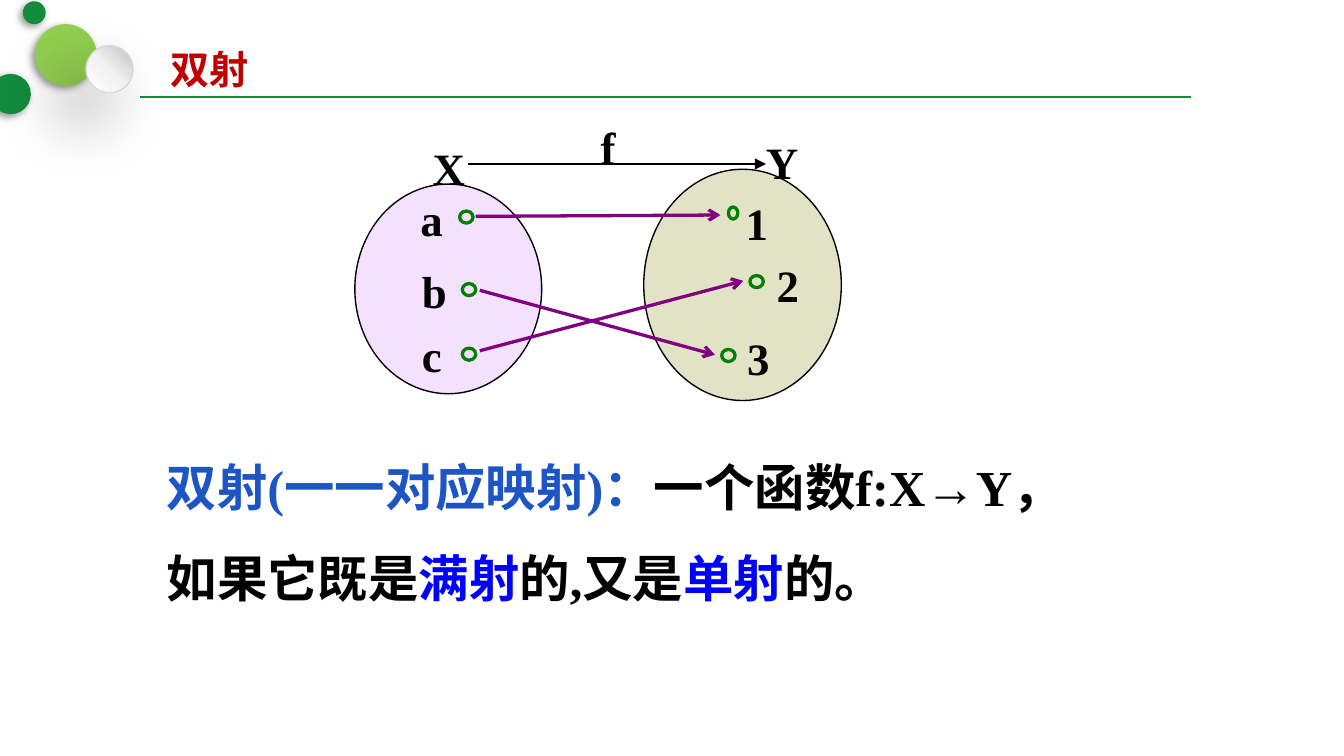
"""Build a slide that defines a bijection with a mapping diagram."""
from lxml.etree import fromstring
from pptx import Presentation
from pptx.dml.color import RGBColor
from pptx.enum.shapes import MSO_CONNECTOR, MSO_SHAPE
from pptx.enum.text import MSO_AUTO_SIZE
from pptx.oxml.ns import qn
from pptx.util import Inches, Pt

NS = "http://schemas.openxmlformats.org/drawingml/2006/main"
HAN, ROMAN = "Noto Sans CJK SC", "Times New Roman"
WIDTH = 10
HEIGHT = WIDTH * 9 / 16
BLACK = RGBColor(0, 0, 0)
RED = RGBColor(0xC0, 0, 0)
BLUE = RGBColor(0, 0, 0xFF)
AZURE = RGBColor(0x1D, 0x55, 0xC5)
GREEN = RGBColor(0x11, 0x8C, 0x3B)
LIME = RGBColor(0x92, 0xD0, 0x50)
GRAY = RGBColor(0xD9, 0xD9, 0xD9)
RING = RGBColor(0, 0x80, 0)
PURPLE = RGBColor(0x80, 0, 0x80)
LILAC = RGBColor(0xF4, 0xE1, 0xFF)
OLIVE = RGBColor(0xE1, 0xE2, 0xC6)

BALLS = [
    (0.26, 0.18, 0.46, LIME, None, (4, 2)),
    (-0.07, 0.55, 0.3, GREEN, None, (4, 2)),
    (0.64, 0.34, 0.35, None, GRAY, (35, 20)),
    (0.17, 0.01, 0.17, GREEN, None, (4, 2)),
]
SHEEN = [(0, "FFFFFF"), (50, "F2F2F2"), (100, "BFBFBF")]
SETS = [(4.79, 1.26, 1.47, 1.72, OLIVE), (2.64, 1.37, 1.39, 1.56, LILAC)]
DOTS = [
    (3.42, 1.57, 0.1), (3.44, 2.11, 0.1), (3.44, 2.59, 0.1),
    (5.42, 1.54, 0.07), (5.58, 2.05, 0.1), (5.37, 2.6, 0.1),
]
MAPS = [
    (3.54, 1.61, 5.36, 1.6),
    (3.57, 2.16, 5.32, 2.64),
    (3.57, 2.61, 5.53, 2.09),
]
LABELS = [
    ("a", 3.03, 1.38), ("b", 3.04, 1.91), ("c", 3.04, 2.39),
    ("1", 5.45, 1.41), ("2", 5.68, 1.87), ("3", 5.46, 2.41),
    ("X", 3.12, 1), ("Y", 5.6, 0.95), ("f", 4.37, 0.84),
]
TITLE = [[("双射", RED)]]
BODY = [
    [("双射(一一对应映射)：", AZURE), ("一个函数f:X→Y，", BLACK)],
    [("如果它既是", BLACK), ("满射", BLUE), ("的,又是", BLACK),
     ("单射", BLUE), ("的。", BLACK)],
]


def add_oval(slide, x, y, w, h, fill=None, line=None, width=0.75):
    oval = slide.shapes.add_shape(
        MSO_SHAPE.OVAL, Inches(x), Inches(y), Inches(w), Inches(h))
    oval.shadow.inherit = False
    if fill is None:
        oval.fill.background()
    else:
        oval.fill.solid()
        oval.fill.fore_color.rgb = fill
    if line is None:
        oval.line.fill.background()
    else:
        oval.line.color.rgb = line
        oval.line.width = Pt(width)
    return oval


def add_ball(slide, x, y, size, fill, line, shade):
    ball = add_oval(slide, x, y, size, size, fill, line)
    props = ball._element.spPr
    if fill is None:
        stops = "".join(
            f'<a:gs pos="{pos * 1000}"><a:srgbClr val="{tint}"/></a:gs>'
            for pos, tint in SHEEN)
        props.replace(props.find(qn("a:noFill")), fromstring(
            f'<a:gradFill xmlns:a="{NS}"><a:gsLst>{stops}</a:gsLst>'
            f'<a:lin ang="{315 * 60000}" scaled="0"/></a:gradFill>'))
    blur, dist = shade
    props.find(qn("a:effectLst")).append(fromstring(
        f'<a:outerShdw xmlns:a="{NS}" blurRad="{Pt(blur)}" '
        f'dist="{Pt(dist)}" dir="{135 * 60000}" algn="tr" rotWithShape="0">'
        '<a:srgbClr val="000000"><a:alpha val="40000"/></a:srgbClr>'
        '</a:outerShdw>'))


def add_line(slide, ends, tint, width, head=None):
    line = slide.shapes.add_connector(
        MSO_CONNECTOR.STRAIGHT, *[Inches(n) for n in ends])
    line.line.color.rgb = tint
    line.line.width = Pt(width)
    if head:
        line.line._get_or_add_ln().append(
            fromstring(f'<a:tailEnd xmlns:a="{NS}" type="{head}"/>'))
    line._element.spPr.append(fromstring(f'<a:effectLst xmlns:a="{NS}"/>'))


def add_text(slide, box, rows, size, face, space=None, pad=(0.1, 0.05)):
    frame = slide.shapes.add_textbox(*[Inches(n) for n in box]).text_frame
    frame.word_wrap = True
    frame.auto_size = MSO_AUTO_SIZE.SHAPE_TO_FIT_TEXT
    frame.margin_left = frame.margin_right = Inches(pad[0])
    frame.margin_top = frame.margin_bottom = Inches(pad[1])
    for i, row in enumerate(rows):
        para = frame.paragraphs[0] if i == 0 else frame.add_paragraph()
        para.line_spacing = space
        font = para.font
        font.name, font.size, font.bold = face, Pt(size), True
        font._element.find(qn("a:latin")).addnext(
            fromstring(f'<a:ea xmlns:a="{NS}" typeface="{HAN}"/>'))
        for words, tint in row:
            run = para.add_run()
            run.text = words
            run.font.color.rgb = tint


def main():
    deck = Presentation()
    deck.slide_width, deck.slide_height = Inches(WIDTH), Inches(HEIGHT)
    slide = deck.slides.add_slide(deck.slide_layouts[6])
    add_line(slide, (1.04, 0.72, 8.86, 0.72), GREEN, 1.25)
    for ball in BALLS:
        add_ball(slide, *ball)
    add_text(slide, (1.17, 0.29, 2.39, 0.45), TITLE, 21, HAN)
    for x, y, w, h, fill in SETS:
        add_oval(slide, x, y, w, h, fill, BLACK)
    for x, y, w in DOTS:
        add_oval(slide, x, y, w, 0.09, None, RING, 1.75)
    for ends in MAPS:
        add_line(slide, ends, PURPLE, 1.75, "arrow")
    add_line(slide, (3.48, 1.22, 5.7, 1.22), BLACK, 0.75, "triangle")
    for name, x, y in LABELS:
        add_text(slide, (x, y, 0.45, 0.5), [[(name, BLACK)]], 24, ROMAN)
    add_text(slide, (1.17, 3.13, 7.85, 1.36), BODY, 27, ROMAN, 1.5,
             (0.07, 0.04))
    deck.save("out.pptx")


if __name__ == "__main__":
    main()
